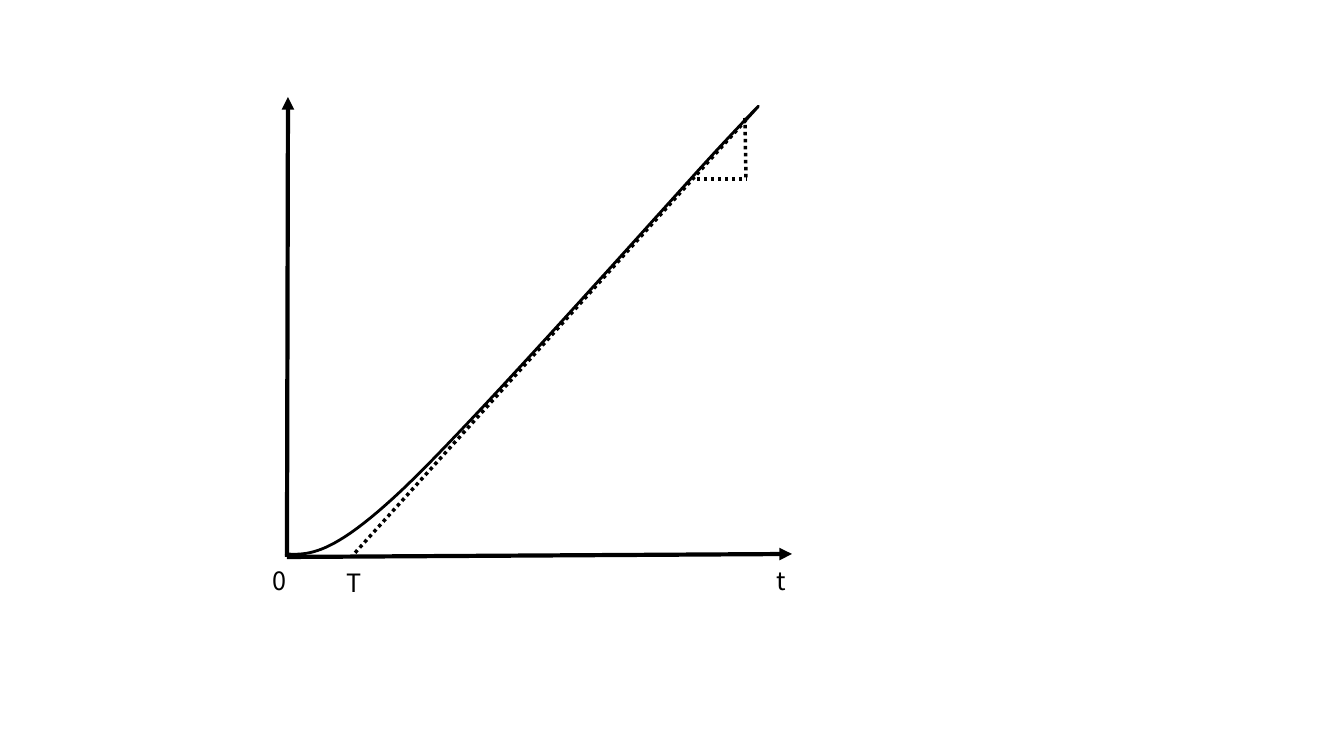
import pptx
import pptx.util
import pptx.dml.color
import pptx.enum.dml
import pptx.enum.shapes
import pptx.enum.text
import pptx.oxml

EMU_PER_PX = 914400 / 100.8
PAGE_SIZE = (1344, 756)
FONT = {"name": "Noto Sans CJK JP", "size": pptx.util.Pt(18)}
BLACK = "000000"

ORIGIN = (287, 557)
AXIS_ENDS = [(288, 97), (792, 554)]
CURVE_START = (285, 554)
CURVE_PIECES = [
    [(308, 555), (331, 557), (402, 490)],
    [(474, 422), (659, 213), (717, 150)],
    [(774, 89), (760, 105), (746, 120)],
]
CURVE_STEPS = 24
DOTTED_LINES = [
    [(746, 120), (354, 554)],
    [(745, 118), (746, 179)],
    [(697, 179), (746, 179)],
]
LABELS = [
    ("0", 273, 565, 100),
    ("T", 347, 567, 52),
    ("t", 777, 565, 52),
]
LABEL_HEIGHT = 30


def emu(px):
    return pptx.util.Emu(round(px * EMU_PER_PX))


def color(value):
    return pptx.dml.color.RGBColor.from_string(value)


def apply(target, values):
    for name, value in values.items():
        setattr(target, name, value)


def style_line(line, points):
    line.color.rgb = color(BLACK)
    line.width = pptx.util.Pt(points)


def add_line(page, start, end, points):
    connector = page.shapes.add_connector(
        pptx.enum.shapes.MSO_CONNECTOR.STRAIGHT, *map(emu, start + end))
    style_line(connector.line, points)
    return connector


def finish_line(connector, arrow):
    properties = connector._element.spPr
    if arrow:
        tail = pptx.oxml.parse_xml(
            '<a:tailEnd xmlns:a="http://schemas.openxmlformats.org/drawingml/2006/main"'
            ' type="triangle"/>')
        connector.line._get_or_add_ln().append(tail)
    else:
        connector.line.dash_style = pptx.enum.dml.MSO_LINE.ROUND_DOT
    properties.append(pptx.oxml.parse_xml(
        '<a:effectLst xmlns:a="http://schemas.openxmlformats.org/drawingml/2006/main"/>'))


def bezier(corners, t):
    weights = [(1 - t) ** 3, 3 * t * (1 - t) ** 2, 3 * t ** 2 * (1 - t), t ** 3]
    return tuple(emu(sum(w * corner[axis] for w, corner in zip(weights, corners)))
                 for axis in (0, 1))


def add_curve(page):
    points = []
    start = CURVE_START
    for piece in CURVE_PIECES:
        corners = [start] + piece
        points += [bezier(corners, step / CURVE_STEPS) for step in range(1, CURVE_STEPS + 1)]
        start = piece[-1]
    builder = page.shapes.build_freeform(*map(emu, CURVE_START))
    builder.add_line_segments(points, close=False)
    curve = builder.convert_to_shape()
    curve.fill.background()
    curve.shadow.inherit = False
    style_line(curve.line, 2)


def add_label(page, text, left, top, width):
    box = page.shapes.add_textbox(*map(emu, (left, top, width, LABEL_HEIGHT)))
    apply(box.text_frame, {
        "margin_left": 0, "margin_top": 0, "margin_right": 0, "margin_bottom": 0,
        "word_wrap": True, "auto_size": pptx.enum.text.MSO_AUTO_SIZE.SHAPE_TO_FIT_TEXT,
    })
    span = box.text_frame.paragraphs[0].add_run()
    span.text = text
    apply(span.font, FONT)
    span.font.color.rgb = color(BLACK)


def main():
    deck = pptx.Presentation()
    deck.slide_width, deck.slide_height = map(emu, PAGE_SIZE)
    page = deck.slides.add_slide(deck.slide_layouts[6])
    for end in AXIS_ENDS:
        finish_line(add_line(page, ORIGIN, end, 3), arrow=True)
    add_curve(page)
    for start, end in DOTTED_LINES:
        finish_line(add_line(page, start, end, 2.5), arrow=False)
    for label in LABELS:
        add_label(page, *label)
    deck.save("out.pptx")


if __name__ == "__main__":
    main()
